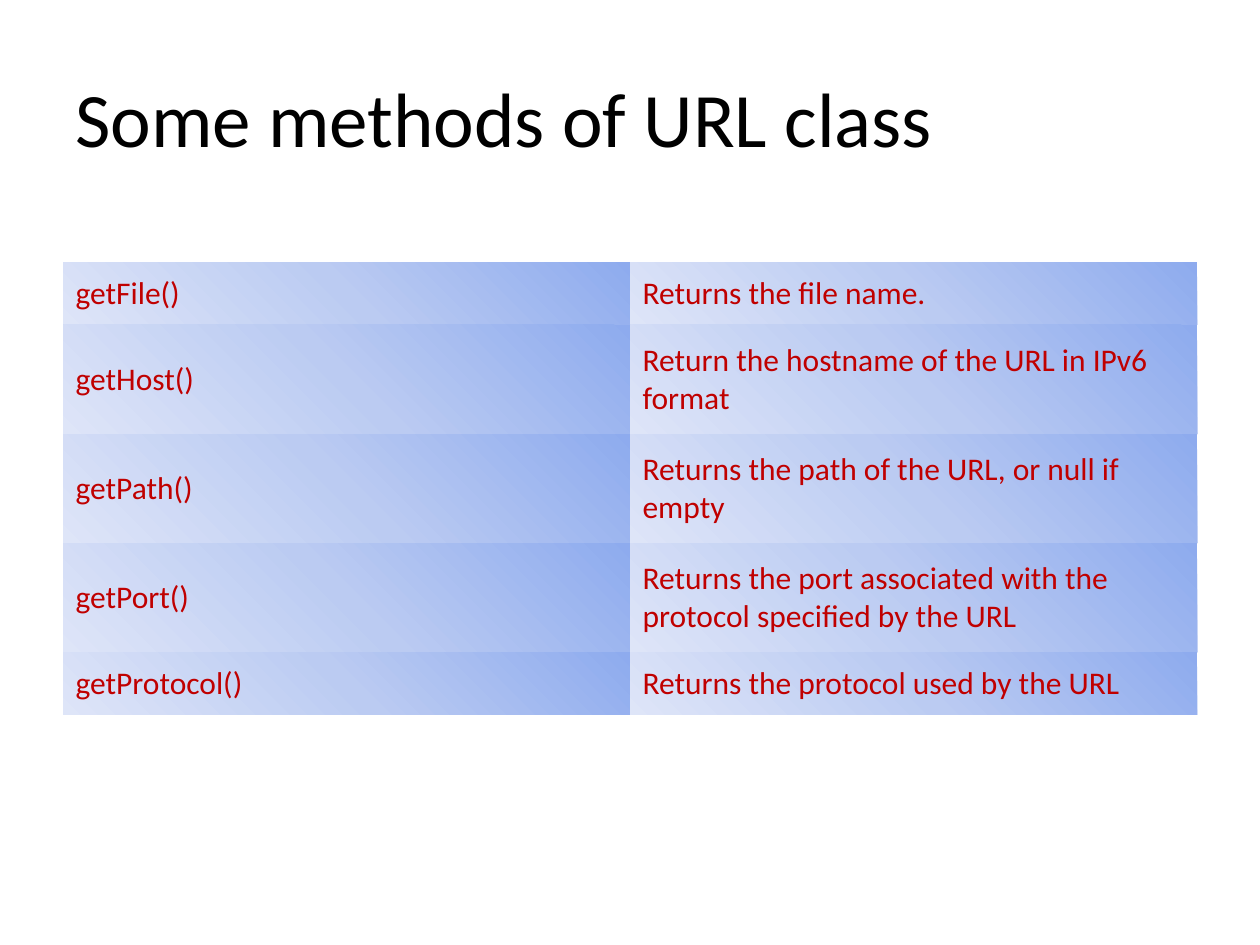
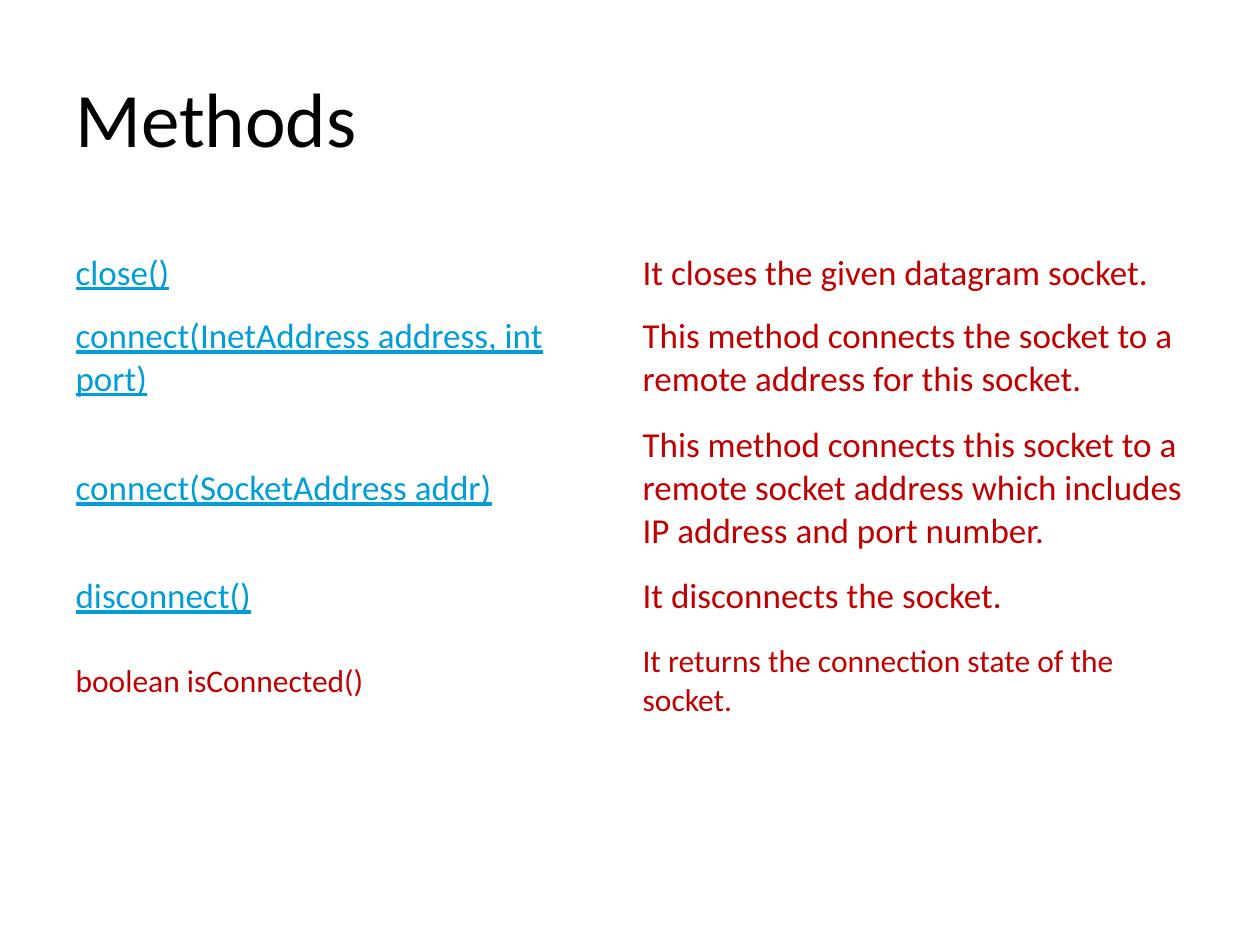
from lxml import etree
from pptx import Presentation
from pptx.dml.color import RGBColor
from pptx.enum.text import MSO_ANCHOR
from pptx.oxml.ns import qn
from pptx.util import Cm, Pt

MIDDLE = MSO_ANCHOR.MIDDLE
FONT = "Calibri"
BLACK, RED, LINK_BLUE = "000000", "C00000", "009DD9"
GRADIENT_STOPS = [(0, "8EABEE"), (50, "BBCBF2"), (100, "DEE5F8")]
GRADIENT_ANGLE = 135
PLAIN_TABLE_STYLE = "{2D5ABB26-0587-4C30-8999-92F81FD0307C}"
LEFT, WIDTH = 1.27, 22.86

plain = {"size": 18, "color": RED, "underline": False}
large = {"size": 20, "color": RED, "underline": False}
link = {"size": 20, "color": LINK_BLUE, "underline": True}
title_format = {"size": 44, "color": BLACK, "underline": False}

slides = [
    {
        "title": "Some methods of URL class",
        "top": 5.29,
        "gradient": True,
        "rows": [
            (1.26, "getFile()", plain, "Returns the file name.", plain),
            (2.2, "getHost()", plain, "Return the hostname of the URL in IPv6 format", plain),
            (2.2, "getPath()", plain, "Returns the path of the URL, or null if empty", plain),
            (2.2, "getPort()", plain,
             "Returns the port associated with the protocol specified by the URL", plain),
            (1.26, "getProtocol()", plain, "Returns the protocol used by the URL", plain),
        ],
    },
    {
        "title": "Methods",
        "top": 4.88,
        "gradient": False,
        "rows": [
            (1.25, "close()", link, "It closes the given datagram socket.", large),
            (2.17, "connect(InetAddress address, int port)", link,
             "This method connects the socket to a remote address for this socket.", large),
            (3.1, "connect(SocketAddress addr)", link,
             "This method connects this socket to a remote socket address "
             "which includes IP address and port number.", large),
            (1.25, "disconnect()", link, "It disconnects the socket.", large),
            (2.17, "boolean isConnected()", plain,
             "It returns the connection state of the socket.", plain),
        ],
    },
]


def write_text(text_frame, text, text_format):
    text_frame.word_wrap = True
    run = text_frame.paragraphs[0].add_run()
    run.text = text
    run.font.name = FONT
    run.font.size = Pt(text_format["size"])
    run.font.underline = text_format["underline"]
    run.font.color.rgb = RGBColor.from_string(text_format["color"])


def fill_gradient(cell):
    properties = cell._tc.get_or_add_tcPr()
    gradient = etree.SubElement(properties, qn("a:gradFill"), rotWithShape="1")
    stop_list = etree.SubElement(gradient, qn("a:gsLst"))
    for position, color in GRADIENT_STOPS:
        stop = etree.SubElement(stop_list, qn("a:gs"), pos=str(position * 1000))
        etree.SubElement(stop, qn("a:srgbClr"), val=color)
    etree.SubElement(gradient, qn("a:lin"), ang=str(GRADIENT_ANGLE * 60000), scaled="0")


presentation = Presentation()
presentation.slide_width = Cm(25.4)
presentation.slide_height = Cm(19.05)
blank_layout = presentation.slide_layouts[6]

for content in slides:
    slide = presentation.slides.add_slide(blank_layout)
    title = slide.shapes.add_textbox(Cm(LEFT), Cm(0.76), Cm(WIDTH), Cm(3.18))
    title.text_frame.vertical_anchor = MIDDLE
    write_text(title.text_frame, content["title"], title_format)

    rows = content["rows"]
    height = sum(row[0] for row in rows)
    frame = slide.shapes.add_table(
        len(rows), 2, Cm(LEFT), Cm(content["top"]), Cm(WIDTH), Cm(height))
    table = frame.table
    table.first_row = False
    table.horz_banding = False
    table._tbl.tblPr.find(qn("a:tableStyleId")).text = PLAIN_TABLE_STYLE

    for row_index, (row_height, method, method_format, meaning, meaning_format) in enumerate(rows):
        table.rows[row_index].height = Cm(row_height)
        cells = [(method, method_format), (meaning, meaning_format)]
        for column_index, (text, text_format) in enumerate(cells):
            cell = table.cell(row_index, column_index)
            cell.vertical_anchor = MIDDLE
            write_text(cell.text_frame, text, text_format)
            if content["gradient"]:
                fill_gradient(cell)
            else:
                cell.fill.background()

presentation.save("out.pptx")
